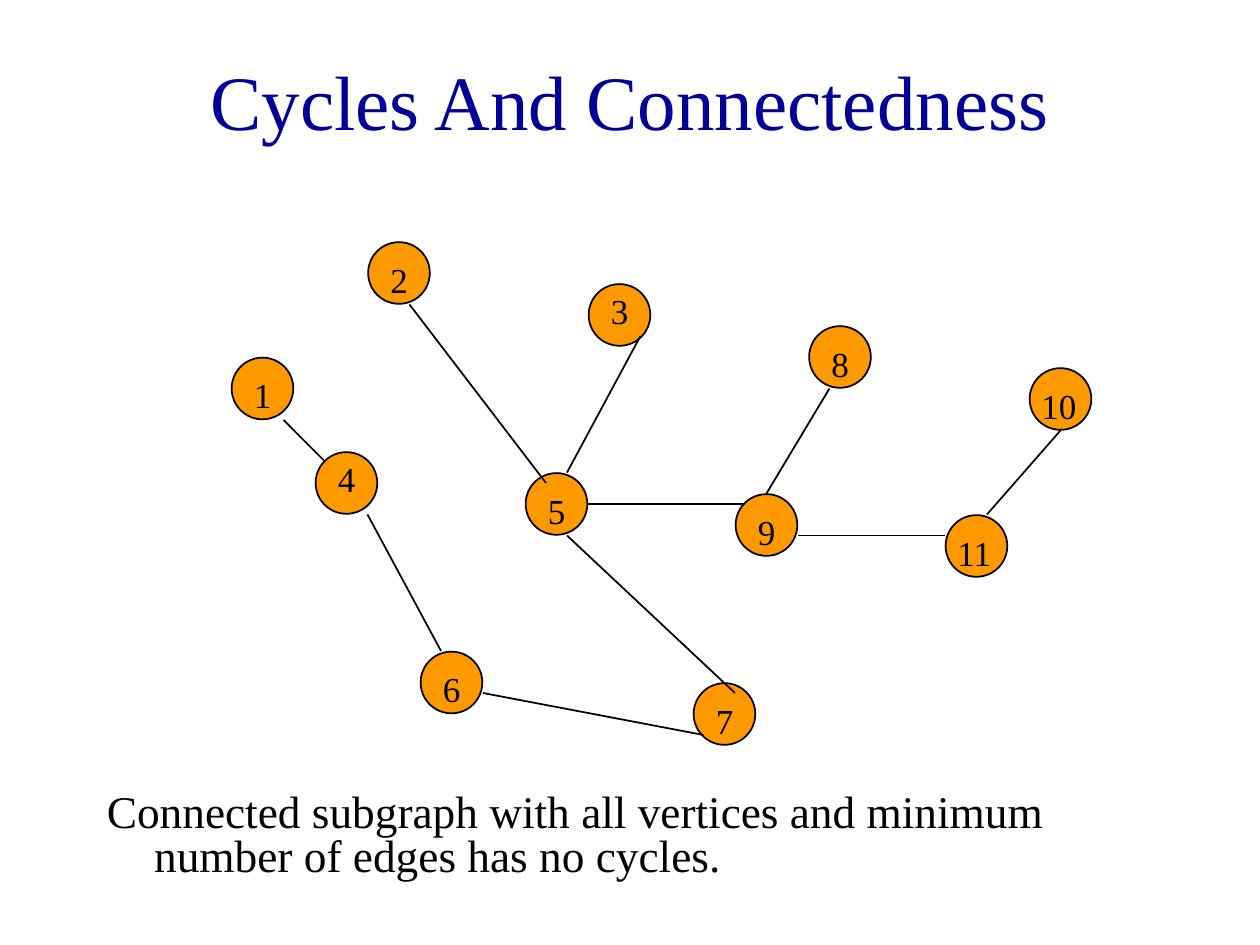
from pptx import Presentation
from pptx.dml.color import RGBColor
from pptx.enum.shapes import MSO_CONNECTOR, MSO_SHAPE
from pptx.enum.text import MSO_ANCHOR, PP_ALIGN
from pptx.oxml.ns import qn
from pptx.util import Pt
from lxml import etree

BLACK = RGBColor(0x00, 0x00, 0x00)
NAVY = RGBColor(0x00, 0x00, 0x99)
ORANGE = RGBColor(0xFF, 0x99, 0x00)
FONT = "Times New Roman"
DIAMETER = 35.25

# vertex: centre x, centre y
VERTICES = {
    1: (150, 222), 2: (228, 156), 3: (354, 180), 8: (480, 204),
    10: (606, 228), 4: (198, 276), 5: (318, 288), 9: (438, 300),
    11: (558, 312), 6: (258, 390), 7: (414, 408),
}
RAISED_LABELS = {3, 4}

# start x, start y, end x, end y
EDGES = [
    (234, 174, 312, 276),  # 2-5
    (162, 240, 186, 264),  # 1-4
    (210, 294, 252, 372),  # 4-6
    (276, 396, 402, 420),  # 6-7
    (366, 192, 324, 270),  # 3-5
    (324, 306, 420, 396),  # 5-7
    (474, 222, 438, 282),  # 8-9
    (564, 294, 606, 246),  # 11-10
    (336, 288, 426, 288),  # 5-9
    (456, 306, 540, 306),  # 9-11
]


def add_text(s, text, left, top, width, height, size, color=BLACK):
    """Add a one-paragraph text box and return its text frame."""
    box = s.shapes.add_textbox(Pt(left), Pt(top), Pt(width), Pt(height))
    tf = box.text_frame
    tf.word_wrap = True
    p = tf.paragraphs[0]
    p.text = text
    font = p.runs[0].font
    font.name, font.size = FONT, Pt(size)
    font.color.rgb = color
    return tf


def add_vertex(s, x, y):
    sp = s.shapes.add_shape(
        MSO_SHAPE.OVAL, Pt(x - DIAMETER / 2), Pt(y - DIAMETER / 2),
        Pt(DIAMETER), Pt(DIAMETER))
    sp.shadow.inherit = False
    sp.fill.solid()
    sp.fill.fore_color.rgb = ORANGE
    sp.line.color.rgb = BLACK
    sp.line.width = Pt(1)


def add_edge(s, *ends):
    line = s.shapes.add_connector(MSO_CONNECTOR.STRAIGHT, *map(Pt, ends))
    line.line.color.rgb = BLACK
    line.line.width = Pt(1)
    etree.SubElement(line._element.spPr, qn("a:effectLst"))


def add_label(s, number, x, y):
    dx, width = (18, 40) if number > 9 else (12, 18)
    dy = 18 if number in RAISED_LABELS else 12
    add_text(s, str(number), x - dx, y - dy, width, 31, 20)


def add_title(s, text):
    tf = add_text(s, text, 54, 12, 612, 90, 44, NAVY)
    tf.vertical_anchor = MSO_ANCHOR.MIDDLE
    tf.paragraphs[0].alignment = PP_ALIGN.CENTER


def add_statement(s, text):
    """Add the closing sentence with a hanging indent."""
    p = add_text(s, text, 54, 450, 612, 60, 25.9).paragraphs[0]
    p.line_spacing = 0.8
    pPr = p._p.get_or_add_pPr()
    pPr.set("marL", str(Pt(27)))
    pPr.set("indent", str(Pt(-27)))


def main():
    prs = Presentation()
    prs.slide_width, prs.slide_height = Pt(720), Pt(540)
    s = prs.slides.add_slide(prs.slide_layouts[6])

    add_title(s, "Cycles And Connectedness")
    for x, y in VERTICES.values():
        add_vertex(s, x, y)
    for edge in EDGES:
        add_edge(s, *edge)
    for number, (x, y) in VERTICES.items():
        add_label(s, number, x, y)
    add_statement(s, "Connected subgraph with all vertices and minimum "
                     "number of edges has no cycles.")

    prs.save("out.pptx")


if __name__ == "__main__":
    main()
